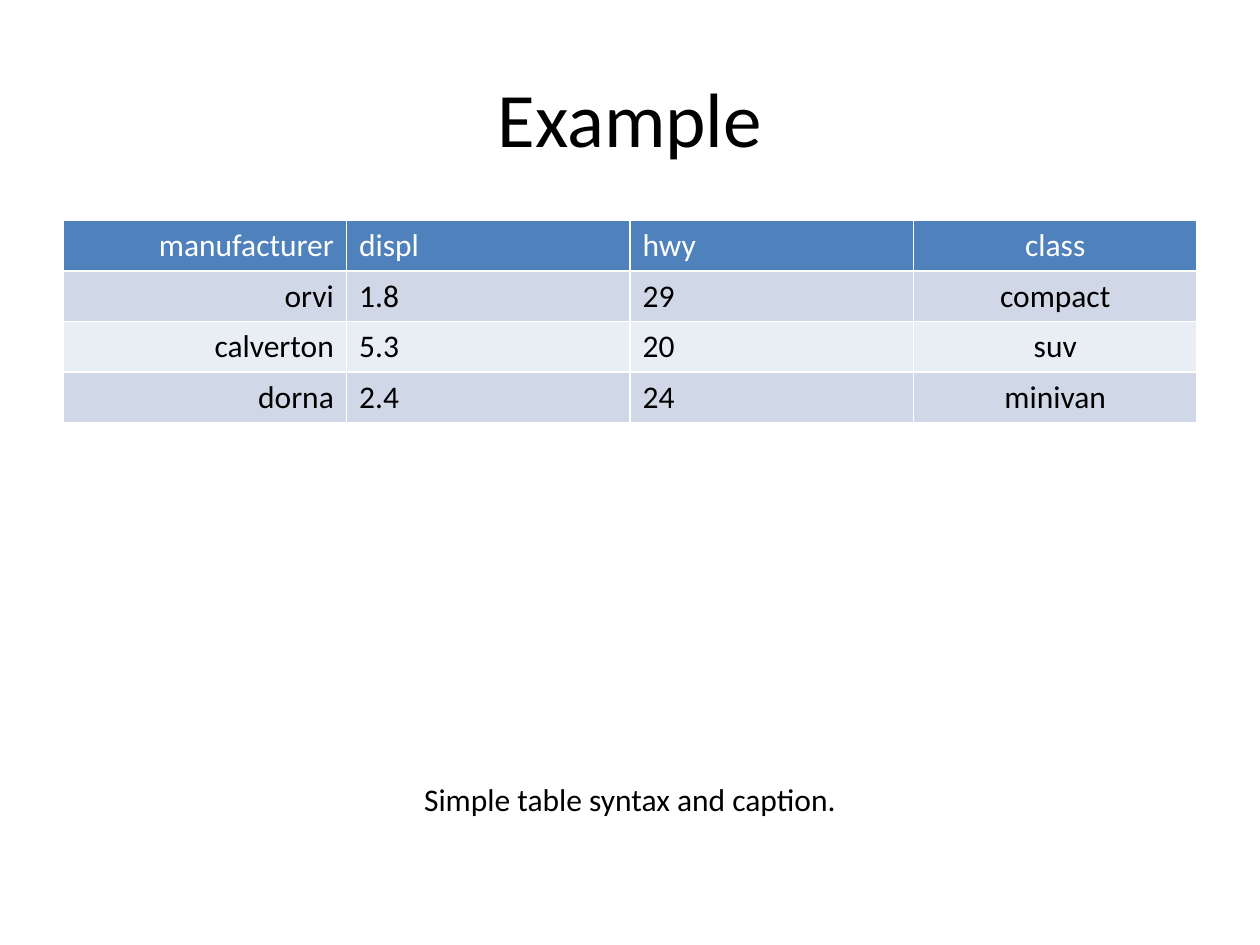
import pptx
import pptx.dml.color
import pptx.enum.text
import pptx.util

Inches = pptx.util.Inches
RGBColor = pptx.dml.color.RGBColor
Align = pptx.enum.text.PP_ALIGN
Anchor = pptx.enum.text.MSO_ANCHOR

BLACK = RGBColor(0x00, 0x00, 0x00)
WHITE = RGBColor(0xFF, 0xFF, 0xFF)
HEADER_BLUE = RGBColor(0x4F, 0x81, 0xBD)
BANDS = (RGBColor(0xE9, 0xED, 0xF4), RGBColor(0xD0, 0xD8, 0xE8))


class SlideBuilder:
    """Holds the text style and the current slide."""

    font = "Calibri"
    body_size = 18
    left = 0.5
    width = 9

    def __init__(self, slide):
        self.slide = slide

    def fill_text(self, frame, content, size, color, align):
        frame.text = content
        for paragraph in frame.paragraphs:
            paragraph.alignment = align
            for run in paragraph.runs:
                run.font.name = self.font
                run.font.size = pptx.util.Pt(size)
                run.font.bold = False
                run.font.color.rgb = color

    def text(self, content, top, height, size=body_size, anchor=Anchor.TOP):
        frame = self.slide.shapes.add_textbox(
            Inches(self.left), Inches(top), Inches(self.width), Inches(height)
        ).text_frame
        frame.word_wrap = True
        frame.vertical_anchor = anchor
        self.fill_text(frame, content, size, BLACK, Align.CENTER)

    def table(self, rows, aligns, top, row_height):
        grid = self.slide.shapes.add_table(
            len(rows), len(aligns), Inches(self.left), Inches(top),
            Inches(self.width), Inches(row_height * len(rows))
        ).table
        for r, row in enumerate(rows):
            fill = BANDS[r % 2] if r else HEADER_BLUE
            color = BLACK if r else WHITE
            for c, (content, align) in enumerate(zip(row, aligns)):
                cell = grid.cell(r, c)
                cell.fill.solid()
                cell.fill.fore_color.rgb = fill
                self.fill_text(cell.text_frame, content, self.body_size, color, align)


deck = pptx.Presentation()
deck.slide_width = Inches(10)
deck.slide_height = Inches(7.5)
example = SlideBuilder(deck.slides.add_slide(deck.slide_layouts[6]))

cars = [
    ("manufacturer", "displ", "hwy", "class"),
    ("orvi", "1.8", "29", "compact"),
    ("calverton", "5.3", "20", "suv"),
    ("dorna", "2.4", "24", "minivan"),
]

example.text("Example", 0.3, 1.25, size=44, anchor=Anchor.MIDDLE)
example.table(cars, (Align.RIGHT, Align.LEFT, Align.LEFT, Align.CENTER), 1.75, 0.4)
example.text("Simple table syntax and caption.", 6.14, 0.56)

deck.save("out.pptx")
